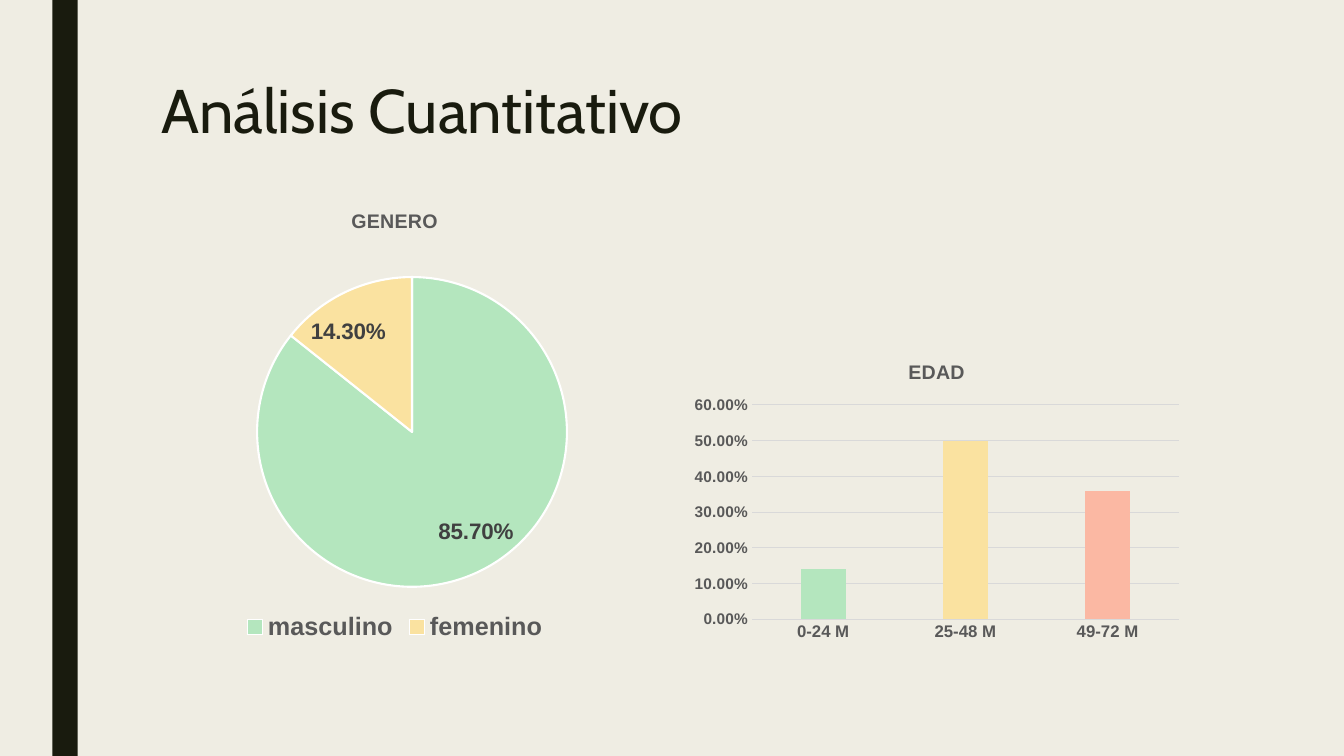
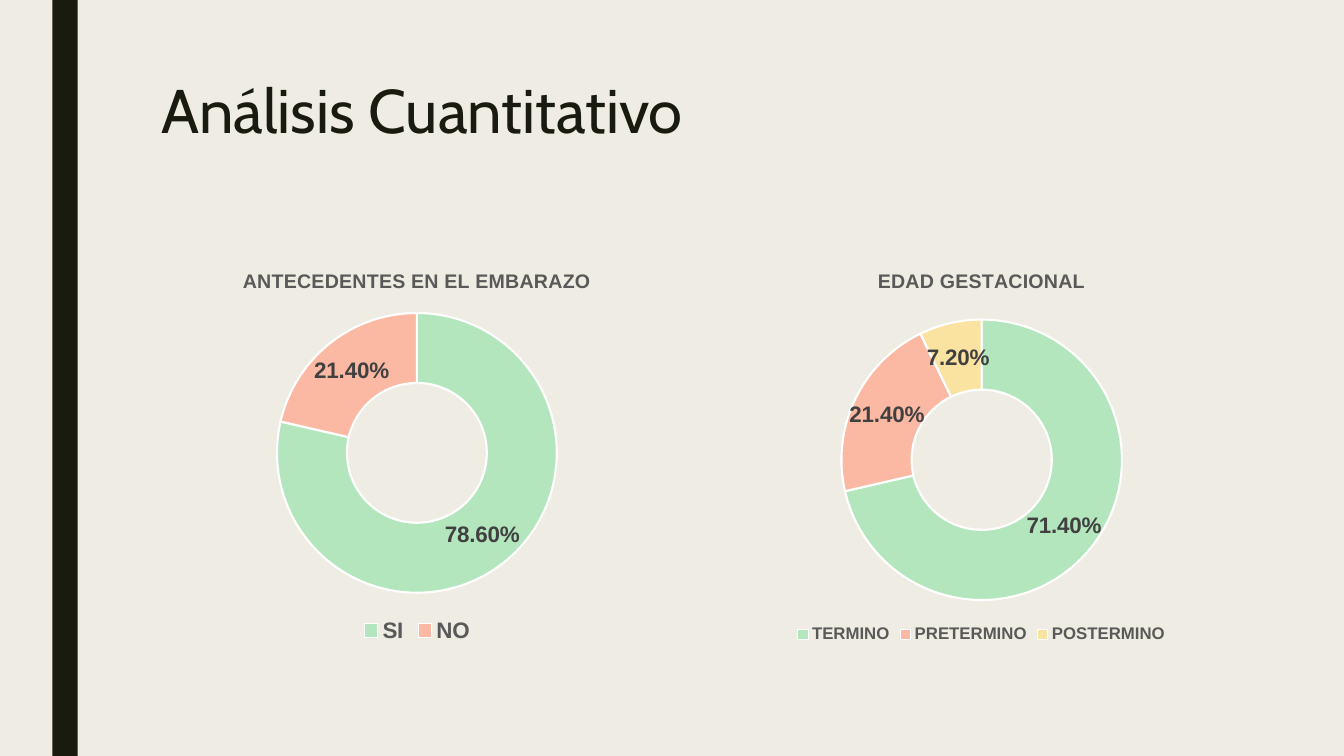
"""Build two slides of quantitative results with pie, column and ring charts."""
import pptx
import pptx.chart.data
import pptx.dml.color
import pptx.enum.chart
import pptx.enum.shapes
import pptx.enum.text
import pptx.oxml
import pptx.oxml.ns
import pptx.util

Inches = pptx.util.Inches
Pt = pptx.util.Pt
RGBColor = pptx.dml.color.RGBColor
Kind = pptx.enum.chart.XL_CHART_TYPE
Tick = pptx.enum.chart.XL_TICK_MARK

PAPER = RGBColor(0xEF, 0xED, 0xE3)
INK = RGBColor(0x19, 0x1B, 0x0E)
GREEN = RGBColor(0xB4, 0xE6, 0xBE)
YELLOW = RGBColor(0xFA, 0xE2, 0xA0)
CORAL = RGBColor(0xFB, 0xB8, 0xA3)
GREY = RGBColor(0x59, 0x59, 0x59)
DARK = RGBColor(0x40, 0x40, 0x40)
RULE = RGBColor(0xD9, 0xD9, 0xD9)
WHITE = RGBColor(0xFF, 0xFF, 0xFF)

HEAD = "Análisis Cuantitativo"
RATE = "0.00%"


def style(font, size, color=GREY, face="Arial", bold=True):
    """Set the size, colour, face and weight of a font."""
    font.size = Pt(size)
    font.color.rgb = color
    font.name = face
    font.bold = bold


def add_band(slide):
    """Draw the dark side band."""
    band = slide.shapes.add_shape(
        pptx.enum.shapes.MSO_SHAPE.RECTANGLE,
        Inches(0.52), 0, Inches(0.25), Inches(7.5))
    band.shadow.inherit = False
    band.fill.solid()
    band.fill.fore_color.rgb = INK
    band.line.fill.background()


def add_page(deck, height):
    """Add a slide with the shared band and heading."""
    slide = deck.slides.add_slide(deck.slide_layouts.get_by_name("Title Only"))
    add_band(slide)
    title = slide.shapes.title
    title.left, title.top = Inches(1.5), Inches(0.75)
    title.width, title.height = Inches(10.5), Inches(height)
    frame = title.text_frame
    frame.text = HEAD
    frame.word_wrap = True
    frame.auto_size = pptx.enum.text.MSO_AUTO_SIZE.NONE
    frame.vertical_anchor = pptx.enum.text.MSO_ANCHOR.TOP
    line = frame.paragraphs[0]
    line.alignment = pptx.enum.text.PP_ALIGN.LEFT
    line.line_spacing = 0.89
    style(line.runs[0].font, 44, INK, "Cabin", False)
    return slide


def set_plot(chart, area):
    """Fix the inner plot area as fractions of the chart."""
    plot = chart.element.find(".//" + pptx.oxml.ns.qn("c:plotArea"))
    for old in plot.findall(pptx.oxml.ns.qn("c:layout")):
        plot.remove(old)
    sides = "".join(f'<c:{key} val="{part}"/>' for key, part in zip("xywh", area))
    plot.insert(0, pptx.oxml.parse_xml(
        f'<c:layout {pptx.oxml.ns.nsdecls("c")}><c:manualLayout>'
        '<c:layoutTarget val="inner"/><c:xMode val="edge"/><c:yMode val="edge"/>'
        f'{sides}</c:manualLayout></c:layout>'))


def add_chart(slide, kind, name, box, rows):
    """Add a titled chart whose rows hold label, value and colour."""
    data = pptx.chart.data.CategoryChartData(number_format=RATE)
    data.categories = [label for label, _, _ in rows]
    data.add_series("Series 1", [value for _, value, _ in rows])
    chart = slide.shapes.add_chart(kind, *map(Inches, box), data).chart
    style(chart.font, 10, GREY, bold=False)
    chart.has_title = True
    chart.chart_title.include_in_layout = False
    text = chart.chart_title.text_frame
    text.text = name
    style(text.paragraphs[0].runs[0].font, 14)
    chart.has_legend = False
    points = chart.plots[0].series[0].points
    for place, (_, _, color) in enumerate(rows):
        fill = points[place].format.fill
        fill.solid()
        fill.fore_color.rgb = color
    return chart


def add_round(slide, kind, name, box, rows, size):
    """Add a pie or ring with values and a legend below."""
    chart = add_chart(slide, kind, name, box, rows)
    plot = chart.plots[0]
    plot.vary_by_categories = True
    for place in range(len(rows)):
        edge = plot.series[0].points[place].format.line
        edge.color.rgb = WHITE
        edge.width = Pt(1.5)
    plot.has_data_labels = True
    labels = plot.data_labels
    labels.show_value = True
    labels.show_percentage = False
    labels.number_format = RATE
    labels.number_format_is_linked = False
    style(labels.font, 16, DARK)
    if kind == Kind.PIE:
        labels.position = pptx.enum.chart.XL_LABEL_POSITION.BEST_FIT
    for hole in chart.element.iter(pptx.oxml.ns.qn("c:holeSize")):
        hole.set("val", "75")
    chart.has_legend = True
    chart.legend.position = pptx.enum.chart.XL_LEGEND_POSITION.BOTTOM
    chart.legend.include_in_layout = False
    style(chart.legend.font, size)
    return chart


def add_bars(slide, name, box, rows):
    """Add a column chart with a percent scale."""
    chart = add_chart(slide, Kind.COLUMN_CLUSTERED, name, box, rows)
    plot = chart.plots[0]
    plot.vary_by_categories = False
    plot.gap_width, plot.overlap = 219, -27
    base, scale = chart.category_axis, chart.value_axis
    for axis, size in ((base, 12), (scale, 11)):
        axis.major_tick_mark = axis.minor_tick_mark = Tick.NONE
        style(axis.tick_labels.font, size)
    scale.minimum_scale, scale.maximum_scale, scale.major_unit = 0, 0.6, 0.1
    scale.tick_labels.number_format = RATE
    scale.tick_labels.number_format_is_linked = False
    scale.format.line.fill.background()
    scale.has_major_gridlines = True
    for line in (base.format.line, scale.major_gridlines.format.line):
        line.color.rgb = RULE
        line.width = Pt(0.75)


def main():
    """Build and save the deck."""
    deck = pptx.Presentation()
    deck.slide_width, deck.slide_height = Inches(13.33), Inches(7.5)
    paper = deck.slide_master.background.fill
    paper.solid()
    paper.fore_color.rgb = PAPER

    people = add_page(deck, 0.89)
    pie = add_round(people, Kind.PIE, "GENERO", (1.04, 1.89, 5.75, 4.52),
                    [("masculino", 0.857, GREEN), ("femenino", 0.143, YELLOW)], 18)
    set_plot(pie, (0.26, 0.19, 0.54, 0.68))
    add_bars(people, "EDAD", (6.79, 3.42, 5, 3),
             [("0-24 M", 0.14, GREEN), ("25-48 M", 0.5, YELLOW),
              ("49-72 M", 0.36, CORAL)])

    births = add_page(deck, 0.8)
    add_round(births, Kind.DOUGHNUT, "ANTECEDENTES EN EL EMBARAZO",
              (1.5, 2.5, 5.27, 3.92),
              [("SI", 0.786, GREEN), ("NO", 0.214, CORAL)], 16)
    add_round(births, Kind.DOUGHNUT, "EDAD GESTACIONAL",
              (6.96, 2.5, 5.55, 3.92),
              [("TERMINO", 0.714, GREEN), ("PRETERMINO", 0.214, CORAL),
               ("POSTERMINO", 0.072, YELLOW)], 12)
    deck.save("out.pptx")


if __name__ == "__main__":
    main()
